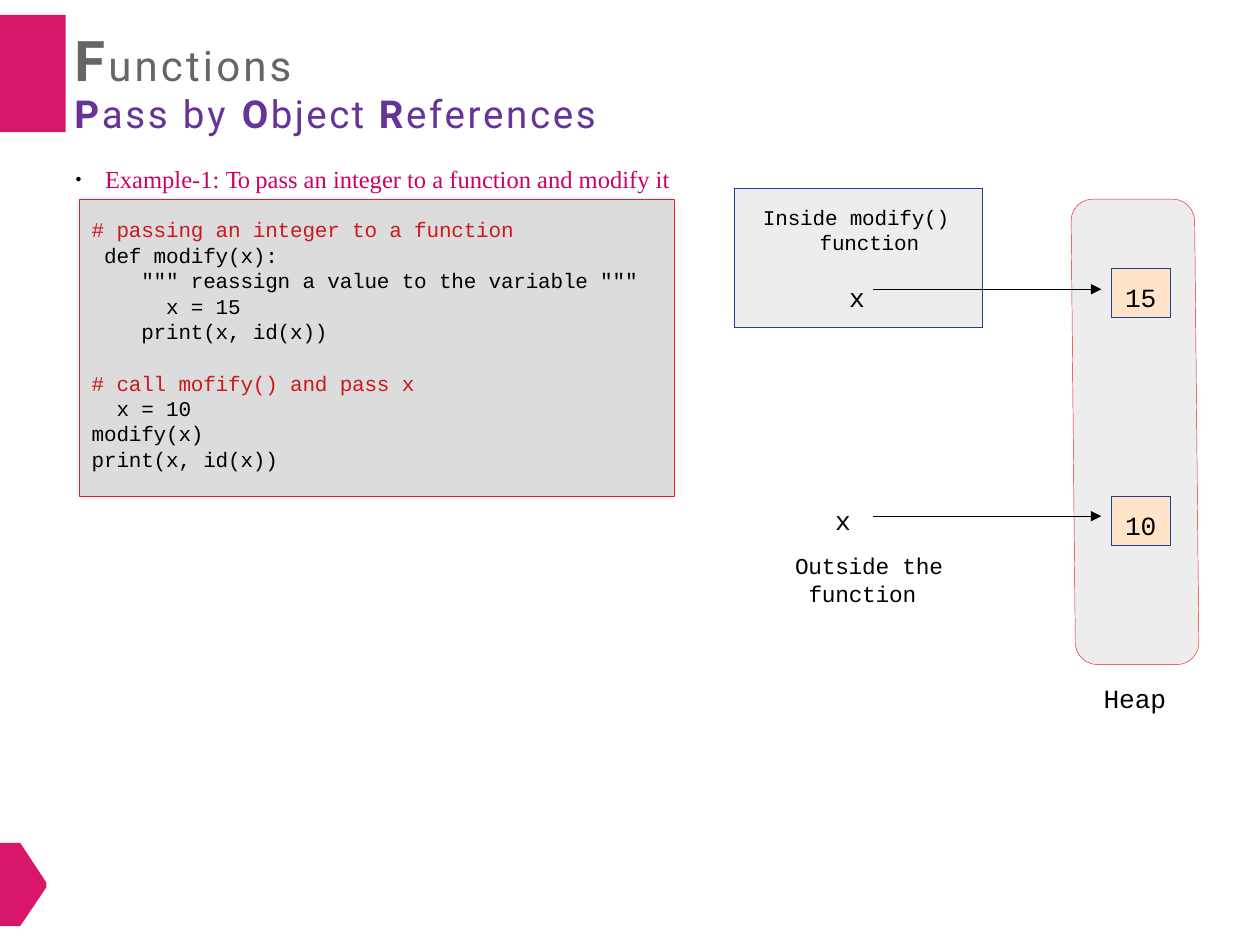
from math import cos, pi, sin

from lxml.etree import SubElement
from pptx import Presentation
from pptx.dml.color import RGBColor
from pptx.enum.shapes import MSO_CONNECTOR as LINK, MSO_SHAPE as KIND
from pptx.enum.text import MSO_ANCHOR as ANCHOR, MSO_AUTO_SIZE as FIT, PP_ALIGN as ALIGN
from pptx.oxml.ns import qn
from pptx.util import Pt

PINK = RGBColor(0xD8, 0x16, 0x6A)
GREY = RGBColor(0x66, 0x66, 0x66)
PURPLE = RGBColor(0x66, 0x33, 0x99)
ROSE = RGBColor(0xCC, 0x00, 0x66)
RED = RGBColor(0xEC, 0x1B, 0x23)
NOTE = RGBColor(0xCD, 0x17, 0x1D)
BLUE = RGBColor(0x20, 0x3F, 0x99)
PEACH = RGBColor(0xFF, 0xE4, 0xC9)
SILVER = RGBColor(0xDC, 0xDC, 0xDC)
PALE = RGBColor(0xED, 0xED, 0xED)
BLACK = RGBColor(0, 0, 0)

MONO = "Courier New"
THIN = 0.25

CODE = [
    "# passing an integer to a function",
    " def modify(x):",
    '    """ reassign a value to the variable """',
    "      x = 15",
    "    print(x, id(x))",
    "# call mofify() and pass x",
    "  x = 10",
    "modify(x)",
    "print(x, id(x))",
]


def write(shape, lines, font=MONO, size=12, color=BLACK, track=-0.1, align=ALIGN.LEFT,
          anchor=ANCHOR.TOP, wrap=False, left=0, top=0, lead=None):
    """Fill a shape; each line is a list of (text, changes) runs."""
    frame = shape.text_frame
    frame.auto_size = FIT.NONE
    frame.word_wrap = wrap
    frame.vertical_anchor = anchor
    frame.margin_left, frame.margin_top = Pt(left), Pt(top)
    frame.margin_right = frame.margin_bottom = 0
    for i, line in enumerate(lines):
        para = frame.paragraphs[0] if i == 0 else frame.add_paragraph()
        para.alignment = align
        para.space_before = Pt(0)
        if lead:
            para.line_spacing = Pt(lead)
        for text, change in line:
            run = para.add_run()
            run.text = text
            run.font.name = font
            run.font.size = Pt(change.get("size", size))
            run.font.bold = change.get("bold", False)
            run.font.color.rgb = change.get("color", color)
            gap = change.get("track", track)
            run.font._element.set("spc", str(round(gap * 100)))
    return frame


def place(shape, x, y, w, h):
    shape.left, shape.top, shape.width, shape.height = Pt(x), Pt(y), Pt(w), Pt(h)


def paint(shape, fill, line=None):
    shape.shadow.inherit = False
    shape.fill.solid()
    shape.fill.fore_color.rgb = fill
    if line is None:
        shape.line.fill.background()
    else:
        shape.line.color.rgb = line
        shape.line.width = Pt(THIN)
    return shape


def box(slide, x, y, w, h, fill, line=None):
    shape = slide.shapes.add_shape(KIND.RECTANGLE, Pt(x), Pt(y), Pt(w), Pt(h))
    return paint(shape, fill, line)


def outline(slide, points, fill, line=None):
    spots = [(Pt(x), Pt(y)) for x, y in points]
    form = slide.shapes.build_freeform(*spots[0])
    form.add_line_segments(spots[1:], close=True)
    return paint(form.convert_to_shape(), fill, line)


def label(slide, x, y, w, h, lines, **style):
    area = slide.shapes.add_textbox(Pt(x), Pt(y), Pt(w), Pt(h))
    return write(area, lines, **style)


def arrow(slide, x, y, end):
    link = slide.shapes.add_connector(LINK.STRAIGHT, Pt(x), Pt(y), Pt(end), Pt(y))
    link.line.color.rgb = BLACK
    link.line.width = Pt(THIN)
    SubElement(link.line._get_or_add_ln(), qn("a:tailEnd"), type="triangle")
    SubElement(link._element.spPr, qn("a:effectLst"))


def bullet(para, indent):
    props = para._p.get_or_add_pPr()
    props.set("marL", str(Pt(indent)))
    props.set("indent", str(-Pt(indent)))
    tint = SubElement(props, qn("a:buClr"))
    SubElement(tint, qn("a:srgbClr"), val=str(BLACK))
    SubElement(props, qn("a:buSzPct"), val="43000")
    SubElement(props, qn("a:buFont"), typeface="Arial")
    SubElement(props, qn("a:buChar"), char="●")


def heads(slide):
    box(slide, 0, 8.6, 37.6, 67, PINK)
    outline(slide, [(0, 481.7), (11.6, 481.7), (26.6, 504.5), (26.6, 507),
                    (11.6, 529.2), (0, 529.2)], PINK)

    title = slide.shapes.title
    place(title, 42.5, 14.8, 140, 40)
    write(title, [[("F", {"size": 32, "bold": True}), ("unctions", {})]],
          font="Roboto", size=24, color=GREY, track=1.8)

    big = {"bold": True}
    label(slide, 42.5, 51.4, 310, 28,
          [[("P", big), ("ass ", {}), ("by ", {"track": 1.9}),
            ("O", {"bold": True, "track": 1.4}), ("bject ", {"track": 1.4}),
            ("R", big), ("eferences", {})]],
          font="Roboto", size=22, color=PURPLE, track=1.55)

    body = slide.placeholders[1]
    place(body, 43, 93.7, 350, 19)
    frame = write(body, [[("Example-1: ", {}), ("To ", {"track": -0.6}),
                          ("pass an integer to a function and modify it", {})]],
                  font="Times New Roman", size=14, color=ROSE, track=0)
    bullet(frame.paragraphs[0], 17)


def listing(slide):
    lines = [[(text, {"color": NOTE if text.startswith("#") else BLACK})]
             for text in CODE]
    panel = box(slide, 45.4, 113.8, 339.8, 170, SILVER, RED)
    frame = write(panel, lines, left=7, top=10, lead=14.5)
    frame.paragraphs[5].space_before = Pt(15)


def heap(slide):
    """Draw the rounded store, which leans slightly to the right."""
    x, y, w, h, bend, lean = 612, 113.8, 70.6, 266, 12.5, 2.6
    turns = [(x + w - bend, y + bend, -pi / 2), (x + w - bend, y + h - bend, 0),
             (x + bend, y + h - bend, pi / 2), (x + bend, y + bend, pi)]
    points = []
    for mid_x, mid_y, start in turns:
        for step in range(7):
            angle = start + step * pi / 12
            down = mid_y + bend * sin(angle)
            points.append((mid_x + bend * cos(angle) + lean * (down - y) / h, down))
    outline(slide, points, PALE, RED)
    label(slide, 630.7, 389.8, 40, 20, [[("Heap", {})]], size=15)


def scope(slide, x, y, value, level, top):
    """Draw a variable, its arrow and the value it refers to."""
    cell = box(slide, 635, top, 33.8, 28.1, PEACH, BLUE)
    write(cell, [[(value, {})]], size=15, align=ALIGN.CENTER,
          anchor=ANCHOR.MIDDLE, top=4.6)
    arrow(slide, 499, level, 629.3)
    label(slide, x, y, 11, 20, [[("x", {})]], size=15)


def caption(slide, x, y, first, second, shift, **style):
    frame = label(slide, x, y, 112, 32, [[(first, {})], [(second, {})]], **style)
    frame.paragraphs[1]._p.get_or_add_pPr().set("marL", str(Pt(shift)))


def main():
    deck = Presentation()
    deck.slide_width, deck.slide_height = Pt(720), Pt(540)
    slide = deck.slides.add_slide(deck.slide_layouts[1])
    heads(slide)
    listing(slide)
    heap(slide)
    box(slide, 419.5, 107.7, 141.8, 79.4, PALE, BLUE)
    caption(slide, 436, 117, "Inside modify()", "function", 32.4, lead=14.3)
    scope(slide, 485.3, 160.8, "15", 165.3, 153.4)
    scope(slide, 477.3, 288.3, "10", 295, 283.7)
    caption(slide, 454.3, 315, "Outside the", "function", 7.7, size=13, lead=16)
    deck.save("out.pptx")


if __name__ == "__main__":
    main()
